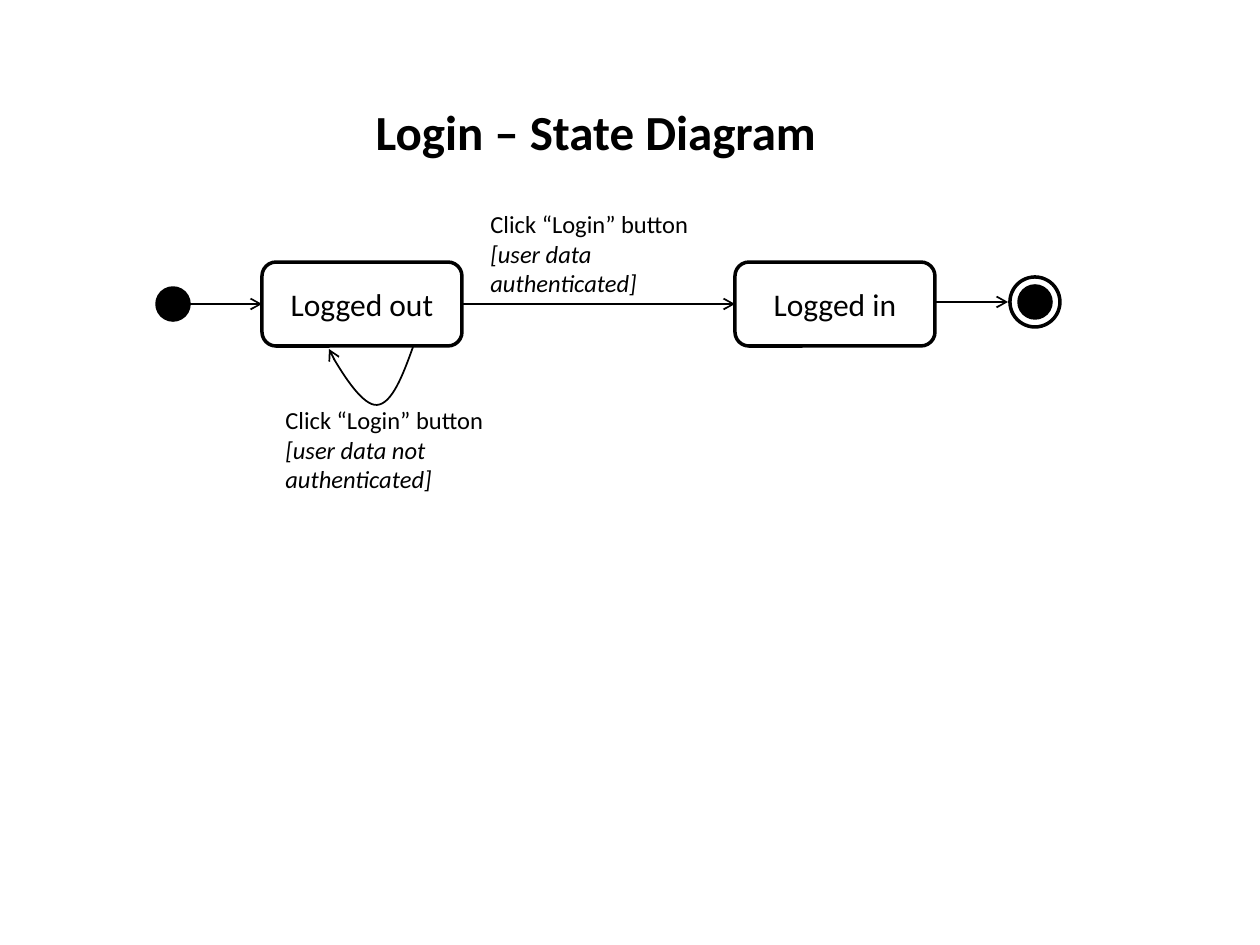
from lxml import etree
from pptx import Presentation
from pptx.dml.color import RGBColor
from pptx.enum.shapes import MSO_CONNECTOR, MSO_SHAPE
from pptx.enum.text import MSO_ANCHOR, PP_ALIGN
from pptx.oxml.ns import qn
from pptx.util import Emu, Pt

STRAIGHT = MSO_CONNECTOR.STRAIGHT
OVAL, ROUNDED = MSO_SHAPE.OVAL, MSO_SHAPE.ROUNDED_RECTANGLE
TOP, MIDDLE = MSO_ANCHOR.TOP, MSO_ANCHOR.MIDDLE
LEFT, CENTER = PP_ALIGN.LEFT, PP_ALIGN.CENTER
LEFT_SIDE, RIGHT_SIDE = 1, 3
EMU_PER_PX = 914400 / 126
FONT = "Calibri"
BLACK = "000000"


def px(*values):
    """Turn pixel lengths into EMU."""
    return [Emu(round(v * EMU_PER_PX)) for v in values]


def paint(color_format, color):
    """Set a colour from a hex string."""
    color_format.rgb = RGBColor.from_string(color)


def style_run(r, size, bold=False, italic=False):
    """Format one run of text."""
    r.font.name, r.font.size = FONT, Pt(size)
    r.font.bold, r.font.italic = bold, italic
    paint(r.font.color, BLACK)


def style_line(shape, width):
    """Give a shape or connector a black line."""
    shape.line.width = Pt(width)
    paint(shape.line.color, BLACK)


def add_arrowhead(shape):
    """Put an open arrowhead at the end of a line."""
    etree.SubElement(shape.line._get_or_add_ln(), qn("a:tailEnd"), type="arrow")


def add_outline(shapes, kind, x, y, w, h, fill=None):
    """Add a preset shape with a heavy outline and an optional fill."""
    shape = shapes.add_shape(kind, *px(x, y, w, h))
    shape.shadow.inherit = False
    style_line(shape, 2)
    if fill:
        shape.fill.solid()
        paint(shape.fill.fore_color, fill)
    else:
        shape.fill.background()
    return shape


def add_state(s, text, x):
    """Add a rounded state box with a centred name."""
    state = add_outline(s.shapes, ROUNDED, x, 262, 200, 84)
    tf = state.text_frame
    tf.text = text
    tf.vertical_anchor = MIDDLE
    p = tf.paragraphs[0]
    p.alignment = CENTER
    style_run(p.runs[0], 18)
    return state


def add_transition(s, x1, x2, y, source=None, target=None):
    """Add a horizontal arrow, joined to the states it touches."""
    line = s.shapes.add_connector(STRAIGHT, *px(x1, y, x2, y))
    if source:
        line.begin_connect(source, RIGHT_SIDE)
    if target:
        line.end_connect(target, LEFT_SIDE)
    style_line(line, 1)
    add_arrowhead(line)
    etree.SubElement(line._element.spPr, qn("a:effectLst"))


def add_curve(s, start, points):
    """Add an open arrow of cubic curves, three points to each curve."""
    builder = s.shapes.build_freeform(*start, scale=EMU_PER_PX)
    builder.add_line_segments(points, close=False)
    curve = builder.convert_to_shape()
    outline = curve._element.find(".//" + qn("a:path"))
    segments = outline.findall(qn("a:lnTo"))
    for i in range(0, len(segments), 3):
        bezier = etree.SubElement(outline, qn("a:cubicBezTo"))
        for segment in segments[i:i + 3]:
            bezier.append(segment[0])
            outline.remove(segment)
    curve.shadow.inherit = False
    curve.fill.background()
    style_line(curve, 1)
    add_arrowhead(curve)


def add_label(s, event, guard, x, y):
    """Add a transition label with its guard in italics."""
    tf = s.shapes.add_textbox(*px(x, y, 242, 102)).text_frame
    tf.word_wrap = True
    p = tf.paragraphs[0]
    for text, italic in ((event, False), (guard, True)):
        r = p.add_run()
        r.text = text
        style_run(r, 14, italic=italic)


def add_final_state(s, x, y):
    """Add a grouped dot and ring centred on a point."""
    group = s.shapes.add_group_shape()
    for size, fill in ((32, BLACK), (50, None)):
        add_outline(group.shapes, OVAL, x - size // 2, y - size // 2, size, size, fill)


def set_title(s, text):
    """Fill, move and format the title placeholder."""
    title = s.shapes.title
    title.left, title.top, title.width, title.height = px(363, 95, 472, 72)
    tf = title.text_frame
    tf.text = text
    tf.word_wrap = True
    tf.vertical_anchor = TOP
    p = tf.paragraphs[0]
    p.alignment = LEFT
    style_run(p.runs[0], 28, bold=True)


def main():
    """Build the login state diagram."""
    prs = Presentation()
    prs.slide_width, prs.slide_height = px(1260, 945)
    s = prs.slides.add_slide(prs.slide_layouts[5])
    set_title(s, "Login – State Diagram")
    logged_out = add_state(s, "Logged out", 262)
    logged_in = add_state(s, "Logged in", 735)
    add_outline(s.shapes, OVAL, 157, 288, 32, 32, BLACK)
    add_transition(s, 189, 262, 304, target=logged_out)
    add_transition(s, 462, 735, 304, logged_out, logged_in)
    add_transition(s, 935, 1008, 302)
    add_final_state(s, 1035, 302)
    add_curve(s, (413, 347), [(403, 375), (392, 404), (377, 405),
                              (363, 406), (331, 357), (329, 349)])
    event = "Click “Login” button "
    add_label(s, event, "[user data authenticated]", 478, 203)
    add_label(s, event, "[user data not authenticated]", 273, 399)
    prs.save("out.pptx")


if __name__ == "__main__":
    main()
